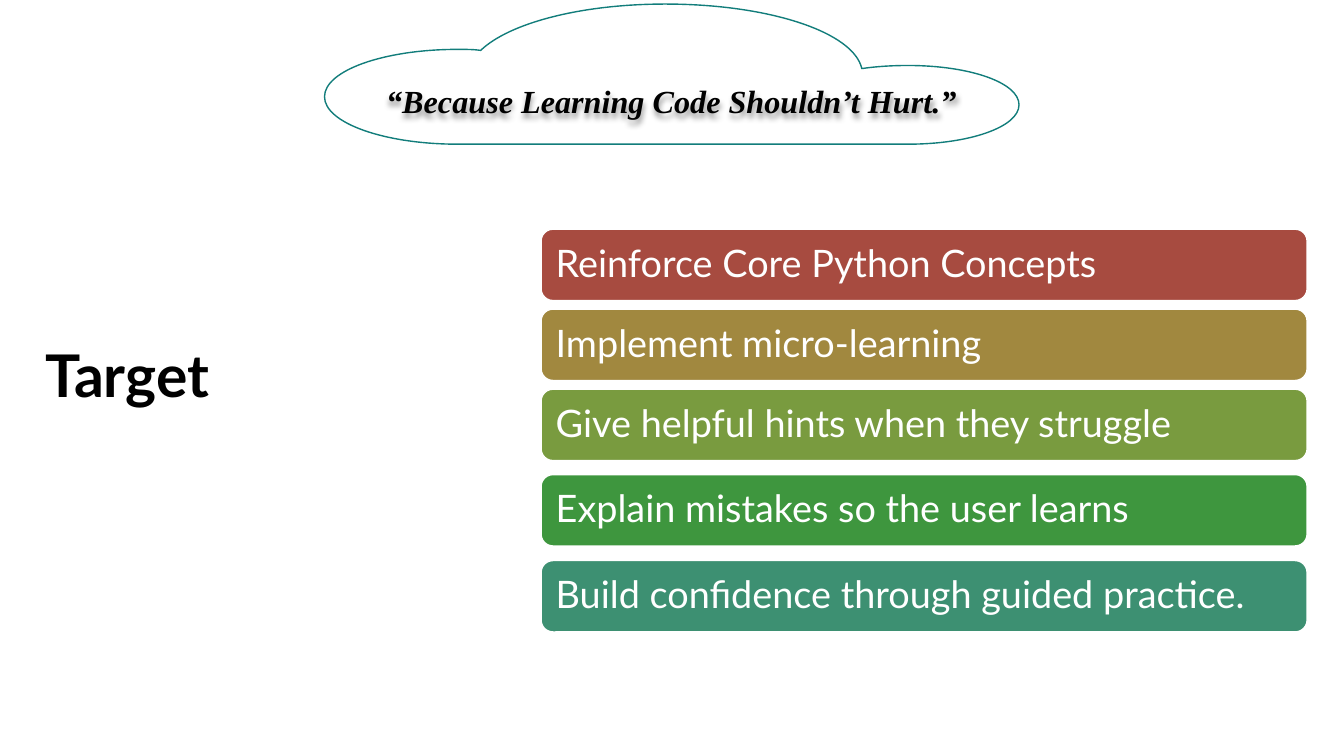
import pptx
import pptx.util
import pptx.dml.color
import pptx.enum.shapes
import pptx.enum.text
import pptx.oxml
import pptx.oxml.ns

Pt = pptx.util.Pt
ANCHOR = pptx.enum.text.MSO_ANCHOR
ALIGN = pptx.enum.text.PP_ALIGN
NS = pptx.oxml.ns.nsdecls("a")


def color(value):
    return pptx.dml.color.RGBColor.from_string(value)


def write(shape, text, size, font, hue, inset):
    tf = shape.text_frame
    tf.text = text
    tf.word_wrap = True
    tf.vertical_anchor = ANCHOR.MIDDLE
    tf.margin_left = tf.margin_right = Pt(inset)
    tf.margin_top = tf.margin_bottom = Pt(inset)
    p = tf.paragraphs[0]
    p.alignment = ALIGN.LEFT
    r = p.runs[0]
    r.font.size = Pt(size)
    r.font.name = font
    r.font.color.rgb = color(hue)
    return tf


prs = pptx.Presentation()
prs.slide_width, prs.slide_height = Pt(960), Pt(540)
s = prs.slides.add_slide(prs.slide_layouts[6])

# Cloud outline: a single point is a straight line, three points are a curve
start = (475.2, 2.9)
segments = [
    [(414.7, 2.9), (363.6, 16.6), (343.4, 36)],
    [(338.4, 35.3), (332.6, 35.3), (326.9, 35.3)],
    [(274.3, 35.3), (231.8, 50.4), (231.8, 69.1)],
    [(231.8, 87.8), (274.3, 103), (326.9, 103)],
    [(648.7, 103)],
    [(692.6, 103), (727.9, 90.7), (727.9, 74.9)],
    [(727.9, 59), (692.6, 46.8), (648.7, 46.8)],
    [(637.2, 46.8), (625.7, 47.5), (615.6, 49)],
    [(609.8, 23), (549.4, 2.9), start],
]
outline = s.shapes.build_freeform(Pt(start[0]), Pt(start[1]), scale=1.0)
outline.add_line_segments([(Pt(seg[-1][0]), Pt(seg[-1][1])) for seg in segments])
cloud = outline.convert_to_shape()

# Turn the straight segments into curves
for line, seg in zip(cloud._element.xpath(".//a:lnTo"), segments):
    if len(seg) == 3:
        pts = "".join(f'<a:pt x="{Pt(x) - cloud.left}" y="{Pt(y) - cloud.top}"/>'
                      for x, y in seg)
        line.getparent().replace(line, pptx.oxml.parse_xml(
            f"<a:cubicBezTo {NS}>{pts}</a:cubicBezTo>"))
cloud.shadow.inherit = False
cloud.fill.solid()
cloud.fill.fore_color.rgb = color("FFFFFF")
cloud.line.color.rgb = color("127D7B")
cloud.line.width = Pt(1)

# Title
title = s.shapes.add_textbox(Pt(28.8), Pt(206), Pt(160), Pt(128))
tf = write(title, "Target", 42, "Lato", "000000", 3.6)
tf.paragraphs[0].line_spacing = 0.9
tf.paragraphs[0].runs[0].font.bold = True

# Goal bars
goals = [
    (163.7, "A74B40", "Reinforce Core Python Concepts"),
    (220.8, "A1883F", "Implement micro-learning"),
    (278, "799B3F", "Give helpful hints when they struggle"),
    (339, "3E963E", "Explain mistakes so the user learns"),
    (400.4, "3D9072", "Build confidence through guided practice."),
]
for top, fill, text in goals:
    bar = s.shapes.add_shape(pptx.enum.shapes.MSO_SHAPE.ROUNDED_RECTANGLE,
                             Pt(386.5), Pt(top), Pt(547.2), Pt(51))
    bar.adjustments[0] = 0.167
    bar.shadow.inherit = False
    bar.fill.solid()
    bar.fill.fore_color.rgb = color(fill)
    bar.line.color.rgb = color("FFFFFF")
    bar.line.width = Pt(1)
    tf = write(bar, text, 27, "Lato", "FFFFFF", 8)
    tf.paragraphs[0].line_spacing = 0.9

# Motto with a soft shadow
motto = s.shapes.add_textbox(Pt(272.2), Pt(54.7), Pt(415.4), Pt(35.3))
tf = write(motto, "“Because Learning Code Shouldn’t Hurt.”", 23,
           "Times New Roman", "000000", 3.6)
tf.word_wrap = False
tf.vertical_anchor = ANCHOR.TOP
p = tf.paragraphs[0]
p.alignment = ALIGN.CENTER
p.runs[0].font.bold = p.runs[0].font.italic = True
motto._element.spPr.append(pptx.oxml.parse_xml(
    f'<a:effectLst {NS}>'
    '<a:outerShdw blurRad="50800" dist="38100" dir="5400000" algn="t" rotWithShape="0">'
    '<a:srgbClr val="000000"><a:alpha val="40000"/></a:srgbClr>'
    '</a:outerShdw></a:effectLst>'))

prs.save("out.pptx")
